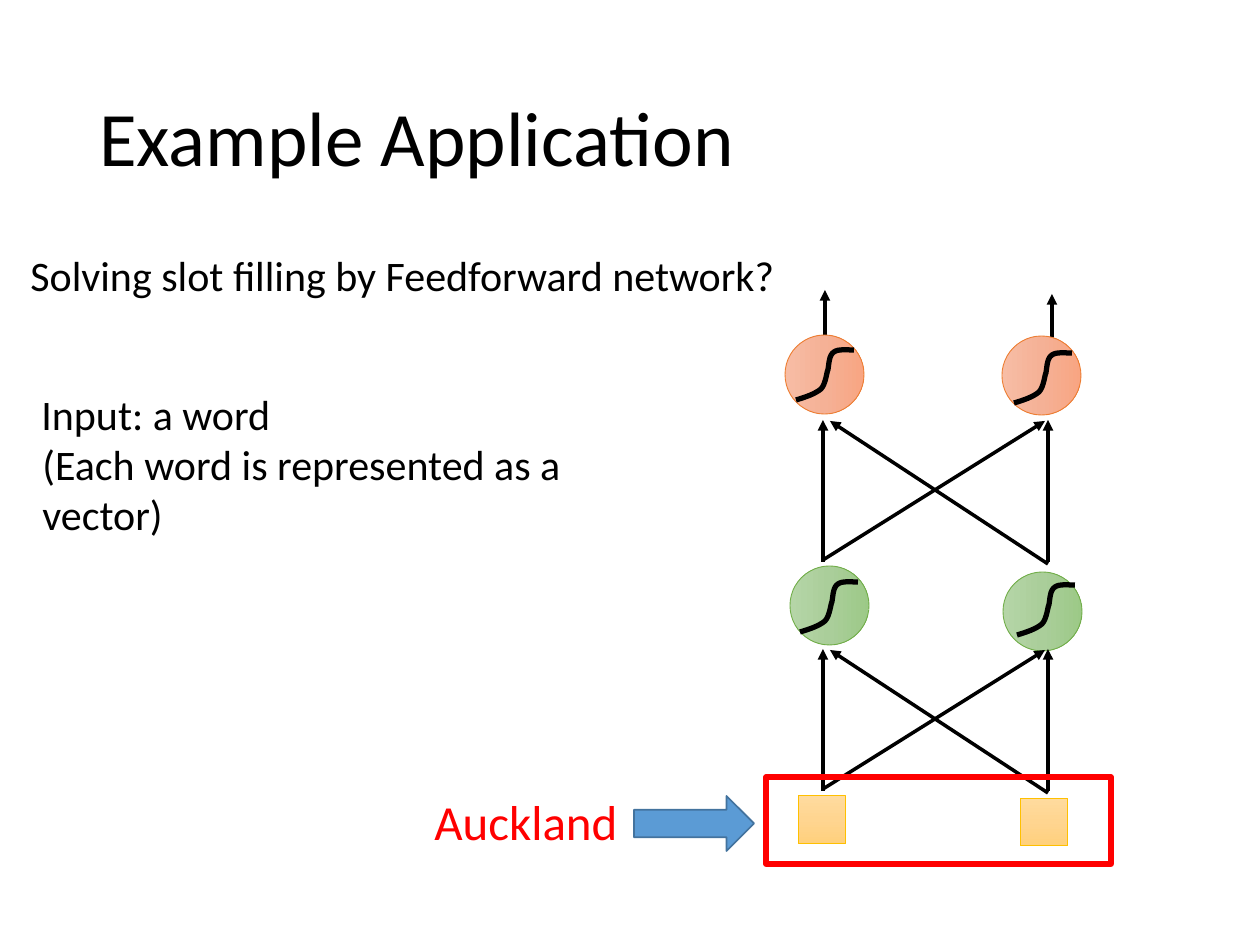
from copy import deepcopy

from lxml import etree
from pptx import Presentation
from pptx.dml.color import RGBColor
from pptx.enum.shapes import MSO_CONNECTOR, MSO_SHAPE
from pptx.enum.text import MSO_ANCHOR
from pptx.oxml.ns import qn
from pptx.util import Pt

LINE = MSO_CONNECTOR.STRAIGHT
RECT, OVAL, ARROW = MSO_SHAPE.RECTANGLE, MSO_SHAPE.OVAL, MSO_SHAPE.RIGHT_ARROW
TOP, MIDDLE = MSO_ANCHOR.TOP, MSO_ANCHOR.MIDDLE
SCALE = 914400 / 126

# Gradient stops and outline of each layer
GOLD = (("FFDB9E", "FFD590", "FFD07C"), "FFC000")
GREEN = (("B5D5A7", "AACE9A", "9CC987"), "70AD47")
ORANGE = (("F7BDA5", "F5B196", "F8A582"), "ED7D31")

# Sigmoid as Bezier points, from its own left top corner
CURVE = ((0, 50), (10, 47), (19, 44), (25, 39), (30, 34), (31, 20), (32, 20),
         (33, 14), (33, 5), (38, 2), (42, -1), (49, 0), (58, 0))

# Circle corner, sigmoid corner, colours
CELLS = (((790, 566), (800, 582), GREEN), ((1003, 572), (1017, 585), GREEN),
         ((785, 335), (796, 350), ORANGE), ((1002, 336), (1014, 353), ORANGE))

# Links between two layers
LINKS = (((1048, 793), (830, 650)), ((823, 789), (1045, 650)),
         ((1048, 791), (1048, 649)), ((823, 791), (823, 649)))


def px(n):
    return round(n * SCALE)


def color(code):
    return RGBColor.from_string(code)


def add_text(slide, text, box, size=24, ink="000000", wrap=True,
             anchor=TOP, space=1.0):
    frame = slide.shapes.add_textbox(*map(px, box)).text_frame
    frame.word_wrap = wrap
    frame.vertical_anchor = anchor
    para = frame.paragraphs[0]
    para.line_spacing = space
    run = para.add_run()
    run.text = text
    run.font.name = "Calibri"
    run.font.size = Pt(size)
    run.font.color.rgb = color(ink)


def set_line(shape, ink, width):
    shape.line.color.rgb = color(ink)
    shape.line.width = Pt(width)


def add_block(slide, kind, box, ink, width, fill=None):
    shape = slide.shapes.add_shape(kind, *map(px, box))
    shape.shadow.inherit = False
    set_line(shape, ink, width)
    if fill:
        shape.fill.solid()
        shape.fill.fore_color.rgb = color(fill)
    else:
        shape.fill.background()
    return shape


def add_node(slide, kind, corner, size, paint, turn=0):
    tints, edge = paint
    shape = add_block(slide, kind, (*corner, size, size), edge, 0.5)
    shape.rotation = turn
    shape.fill.gradient()
    shape.fill.gradient_angle = 270
    # A third stop between the two given ones
    first = shape.element.spPr.find(".//" + qn("a:gs"))
    first.addnext(deepcopy(first))
    for i, (stop, tint) in enumerate(zip(shape.fill.gradient_stops, tints)):
        stop.position = i / 2
        stop.color.rgb = color(tint)


def add_arrow(slide, start, end):
    arrow = slide.shapes.add_connector(LINE, *map(px, (*start, *end)))
    set_line(arrow, "000000", 2)
    line = arrow.line._get_or_add_ln()
    etree.SubElement(line, qn("a:tailEnd"), type="triangle")
    etree.SubElement(arrow.element.spPr, qn("a:effectLst"))


def bezier(a, b, c, d, t):
    u = 1 - t
    return [u**3 * p + 3 * u * u * t * q + 3 * u * t * t * r + t**3 * s
            for p, q, r, s in zip(a, b, c, d)]


def add_curve(slide, left, top, steps=8):
    dots = [CURVE[0]]
    for i in range(0, len(CURVE) - 1, 3):
        dots += [bezier(*CURVE[i:i + 4], k / steps)
                 for k in range(1, steps + 1)]
    dots = [(px(left + x), px(top + y)) for x, y in dots]
    pen = slide.shapes.build_freeform(*dots[0])
    pen.add_line_segments(dots[1:], close=False)
    shape = pen.convert_to_shape()
    shape.shadow.inherit = False
    shape.fill.background()
    set_line(shape, "000000", 3)


def add_network(slide):
    # Output arrows
    add_arrow(slide, (1052, 384), (1052, 294))
    add_arrow(slide, (825, 379), (825, 290))
    # Input squares
    for corner in ((798, 796), (1020, 798)):
        add_node(slide, RECT, corner, 48, GOLD)
    # Neurons
    for corner, _, paint in CELLS:
        add_node(slide, OVAL, corner, 79, paint, turn=270)
    # Links into the hidden layer, then into the output layer
    for rise in (0, 229):
        for (x1, y1), (x2, y2) in LINKS:
            add_arrow(slide, (x1, y1 - rise), (x2, y2 - rise))
    # Sigmoids
    for _, corner, _ in CELLS:
        add_curve(slide, *corner)


def main():
    deck = Presentation()
    deck.slide_width, deck.slide_height = px(1260), px(945)
    slide = deck.slides.add_slide(deck.slide_layouts[6])

    add_text(slide, "Example Application", (87, 50, 1086, 183), size=44,
             anchor=MIDDLE, space=0.9)
    add_network(slide)

    # Input word
    add_text(slide, "Auckland", (422, 785, 210, 72), size=28, ink="FF0000",
             wrap=False)
    add_block(slide, ARROW, (634, 796, 120, 55), "43739E", 1, fill="5B9BD5")
    add_block(slide, RECT, (766, 777, 345, 87), "FF0000", 3)

    # Remarks
    add_text(slide, "Input: a word", (29, 382, 276, 63))
    add_text(slide, "(Each word is represented as a vector)",
             (30, 432, 670, 63))
    add_text(slide, "Solving slot filling by Feedforward network?",
             (18, 243, 804, 63))

    deck.save("out.pptx")


if __name__ == "__main__":
    main()
